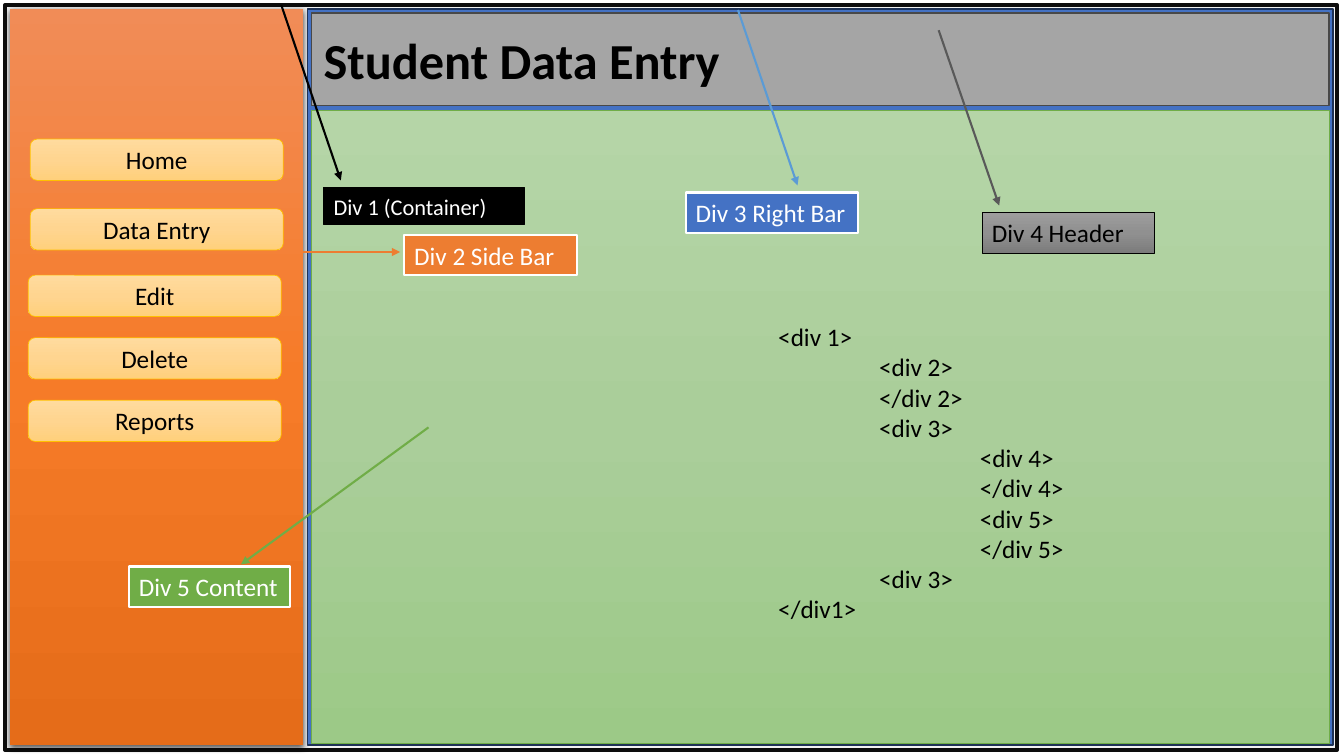
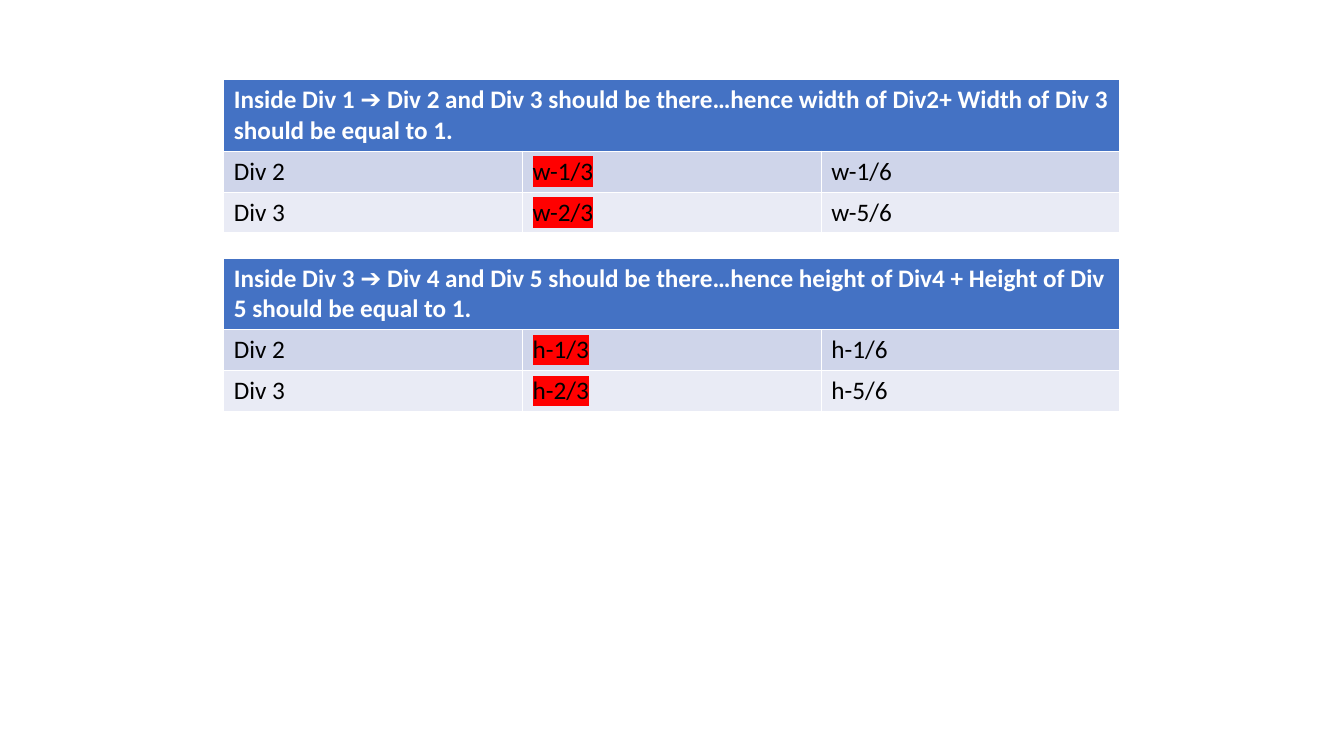
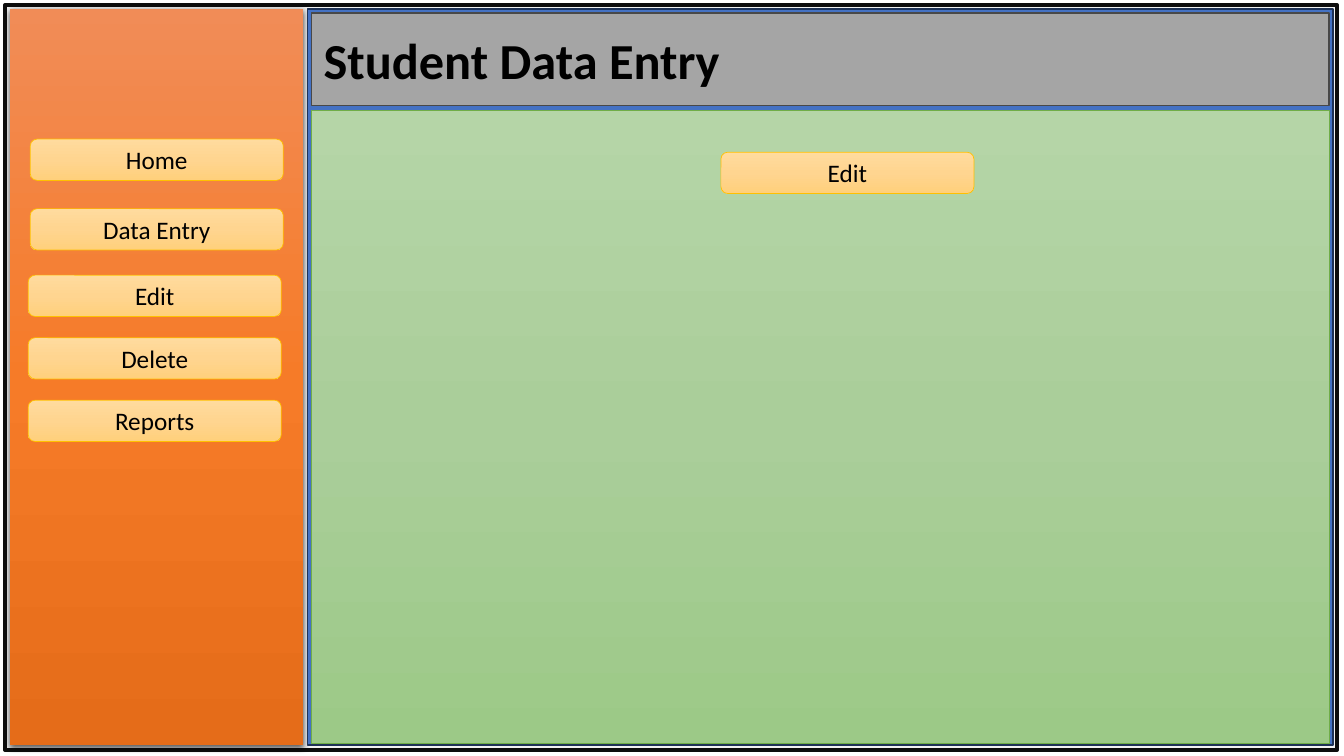
from copy import deepcopy

from pptx import Presentation
from pptx.dml.color import RGBColor
from pptx.enum.shapes import MSO_CONNECTOR, MSO_SHAPE
from pptx.enum.text import MSO_ANCHOR, PP_ALIGN
from pptx.oxml.ns import qn
from pptx.oxml.xmlchemy import OxmlElement
from pptx.util import Pt

RECT, ROUND = MSO_SHAPE.RECTANGLE, MSO_SHAPE.ROUNDED_RECTANGLE
LINE = MSO_CONNECTOR.STRAIGHT
LEFT, MID = PP_ALIGN.LEFT, PP_ALIGN.CENTER
CENTRE = MSO_ANCHOR.MIDDLE

SCALE = 9144
FONT = "Calibri"
BLACK, WHITE, BLUE = "000000", "FFFFFF", "4472C4"
ORANGE, GREEN, RED = "ED7D31", "70AD47", "FF0000"
BAR = ("F18C57", "F67B28", "E56C19")
GOLD = ("FFDB9E", "FFD590", "FFD07C")
LEAF = ("B5D5A7", "AACE9A", "9CC987")
STEEL = ("9D9D9D", "909090", "7C7C7C")

MENU = [
    ("Home", 20, 129),
    ("Data Entry", 20, 198),
    ("Edit", 18, 264),
    ("Delete", 18, 326),
    ("Reports", 18, 388),
]
LABELS = [
    ("Div 1 (Container)", (321, 186, 199, 37), 16, BLACK, (BLACK, 1), WHITE,
     (BLACK, -42, -181, 17, -7)),
    ("Div 2 Side Bar", (401, 233, 171, 40), 18, ORANGE, (WHITE, 1.5), WHITE,
     (ORANGE, -100, 17, -4, 17)),
    ("Div 3 Right Bar", (680, 191, 171, 40), 18, BLUE, (WHITE, 1.5), WHITE,
     ("5B9BD5", 52, -181, 111, -7)),
    ("Div 4 Header", (974, 211, 171, 40), 18, STEEL, (BLACK, 0.5), BLACK,
     ("595959", -43, -181, 17, -7)),
    ("Div 5 Content", (128, 562, 160, 40), 18, GREEN, (WHITE, 1.5), WHITE,
     (GREEN, 297, -138, 111, -2)),
]
CODE = [
    (0, "<div 1>"),
    (1, "<div 2>"),
    (1, "</div 2>"),
    (1, "<div 3>"),
    (2, "<div 4>"),
    (2, "</div 4>"),
    (2, "<div 5>"),
    (2, "</div 5>"),
    (1, "<div 3>"),
    (0, "</div1>"),
]
TABLES = [
    (79, "w", "Inside Div 1 ➔ Div 2 and Div 3 should be there…"
     "hence width of Div2+ Width of Div 3 should be equal to 1."),
    (256, "h", "Inside Div 3 ➔ Div 4 and Div 5 should be there…"
     "hence height of Div4 + Height of Div 5 should be equal to 1."),
]


def px(*vals):
    return [val * SCALE for val in vals]


def rgb(code):
    return RGBColor.from_string(code)


def node(tag, up, **attrs):
    item = OxmlElement(tag)
    for key, val in attrs.items():
        item.set(key, str(val))
    up.append(item)
    return item


def style(para, size, color, bold=False, align=LEFT):
    para.alignment = align
    font = para.font
    font.name, font.size, font.bold = FONT, Pt(size), bold
    font.color.rgb = rgb(color)


def paint(shape, fill):
    if isinstance(fill, str):
        shape.fill.solid()
        shape.fill.fore_color.rgb = rgb(fill)
        return
    shape.fill.gradient()
    shape.fill.gradient_angle = 270
    stops = shape._element.spPr.find(".//" + qn("a:gsLst"))
    stops.append(deepcopy(stops[0]))
    for stop, color, pos in zip(shape.fill.gradient_stops, fill, (0, 0.5, 1)):
        stop.color.rgb = rgb(color)
        stop.position = pos


def block(slide, box, fill, line=None, kind=RECT):
    shape = slide.shapes.add_shape(kind, *px(*box))
    shape.shadow.inherit = False
    paint(shape, fill)
    if line:
        shape.line.color.rgb = rgb(line[0])
        shape.line.width = Pt(line[1])
    else:
        shape.line.fill.background()
    return shape


def write(shape, text, size, color, align):
    frame = shape.text_frame
    frame.word_wrap = True
    frame.vertical_anchor = CENTRE
    frame.text = text
    style(frame.paragraphs[0], size, color, align=align)


def shade(shape):
    glow = node("a:outerShdw", shape._element.spPr.find(qn("a:effectLst")),
                blurRad=57150, dist=19050, dir=5400000, algn="ctr", rotWithShape=0)
    node("a:alpha", node("a:srgbClr", glow, val=BLACK), val=63000)


def button(slide, x, y, text):
    shape = block(slide, (x, y, 251, 41), GOLD, ("FFC000", 0.5), ROUND)
    write(shape, text, 18, BLACK, MID)


def side(slide, box):
    shade(block(slide, box, BAR))
    for text, dx, dy in MENU:
        button(slide, box[0] + dx, box[1] + dy, text)


def panel(slide, box):
    x, y, w, h = box
    block(slide, box, BLUE, ("1E3256", 1))
    block(slide, (x + 4, y + 4, w - 8, 92), "A5A5A5", ("484848", 1))
    block(slide, (x + 4, y + 100, w - 8, h - 102), LEAF, (GREEN, 0.5))
    title = slide.shapes.add_textbox(*px(x + 4, y + 15, 417, 71)).text_frame
    title.word_wrap = False
    title.text = "Student Data Entry"
    style(title.paragraphs[0], 36, BLACK, True, MID)


def form(slide, box):
    x, y, w, h = box
    block(slide, box, "F2F2F2", ("0D0D0D", 3))
    side(slide, (x + 5, y + 4, 291, h - 9))
    panel(slide, (x + 300, y + 4, w - 304, h - 9))


def arrow(slide, ends, color):
    line = slide.shapes.add_connector(LINE, *px(*ends))
    line.line.color.rgb = rgb(color)
    line.line.width = Pt(1.5)
    props = line._element.spPr
    node("a:tailEnd", props.find(qn("a:ln")), type="triangle")
    node("a:effectLst", props)


def label(slide, text, box, size, fill, line, color, link):
    x, y = box[:2]
    tint, ax, ay, bx, by = link
    arrow(slide, (x + ax, y + ay, x + bx, y + by), tint)
    write(block(slide, box, fill, line), text, size, color, LEFT)


def code(slide, box):
    frame = slide.shapes.add_textbox(*px(*box)).text_frame
    frame.word_wrap = True
    for num, (depth, text) in enumerate(CODE):
        para = frame.add_paragraph() if num else frame.paragraphs[0]
        para.text = text
        style(para, 18, BLACK)
        para._p.get_or_add_pPr().set("marL", str(depth * 100 * SCALE))


def fill_cell(cell, text, fill, color=BLACK, bold=False):
    cell.fill.solid()
    cell.fill.fore_color.rgb = rgb(fill)
    cell.text = text
    style(cell.text_frame.paragraphs[0], 18, color, bold)


def mark(cell):
    props = cell.text_frame.paragraphs[0].runs[0]._r.get_or_add_rPr()
    node("a:srgbClr", node("a:highlight", props), val=RED)


def grid(slide, box, head, sign):
    table = slide.shapes.add_table(3, 3, *px(*box)).table
    for row, high in zip(table.rows, px(70, 40, 40)):
        row.height = high
    table.cell(0, 0).merge(table.cell(0, 2))
    fill_cell(table.cell(0, 0), head, BLUE, WHITE, True)
    rows = [("Div 2", "1/3", "1/6", "CFD5EA"), ("Div 3", "2/3", "5/6", "E9EBF5")]
    for num, (name, bad, good, fill) in enumerate(rows, 1):
        for col, text in enumerate((name, f"{sign}-{bad}", f"{sign}-{good}")):
            fill_cell(table.cell(num, col), text, fill)
        mark(table.cell(num, 1))


def main():
    deck = Presentation()
    deck.slide_width, deck.slide_height = px(1333, 750)
    first, second, third = [
        deck.slides.add_slide(deck.slide_layouts[6]) for _ in range(3)]
    for slide in (first, third):
        form(slide, (5, 5, 1321, 739))
    for item in LABELS:
        label(first, *item)
    code(first, (762, 314, 528, 313))
    for top, sign, head in TABLES:
        grid(second, (222, top, 889, 150), head, sign)
    button(third, 715, 151, "Edit")
    deck.save("out.pptx")


if __name__ == "__main__":
    main()
